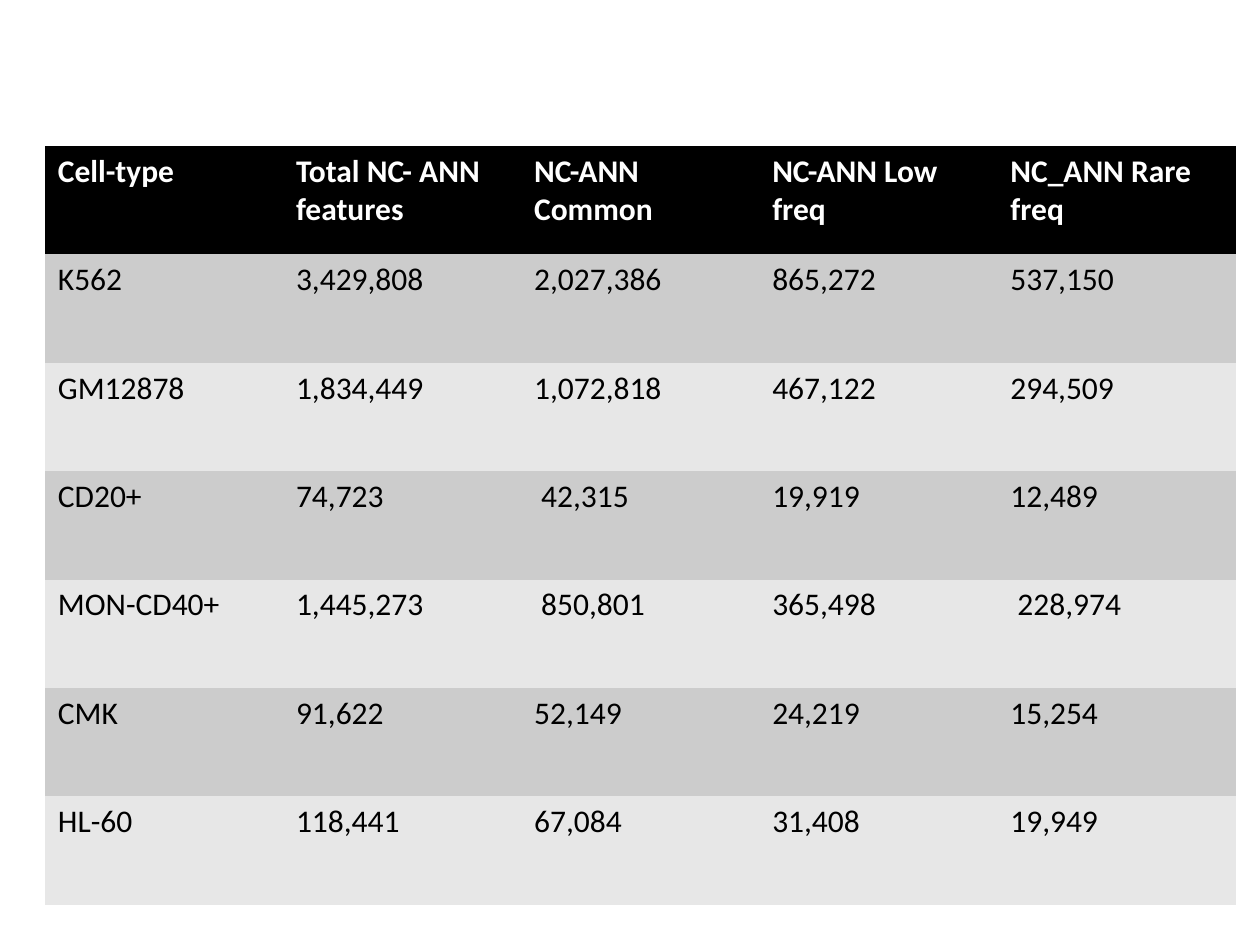
from pptx import Presentation
from pptx.dml.color import RGBColor
from pptx.oxml.ns import qn
from pptx.util import Inches, Pt

BLANK_LAYOUT = 6
NO_GRID_STYLE = "{2D5ABB26-0587-4C30-8999-92F81FD0307C}"
COLUMN_WIDTH = 1.89
ROW_HEIGHT = 0.86
HEADER_FILL = "000000"
BAND_FILLS = ("CCCCCC", "E7E7E7")
HEADER_FONT = {"name": "Calibri", "size": Pt(18), "bold": True}
BODY_FONT = {**HEADER_FONT, "bold": False}

HEADINGS = ("Cell-type", "Total NC- ANN features", "NC-ANN Common",
            "NC-ANN Low freq", "NC_ANN Rare freq")
CELL_TYPES = (
    ("K562", "3,429,808", "2,027,386", "865,272", "537,150"),
    ("GM12878", "1,834,449", "1,072,818", "467,122", "294,509"),
    ("CD20+", "74,723", " 42,315", "19,919", "12,489"),
    ("MON-CD40+", "1,445,273", " 850,801", "365,498", " 228,974"),
    ("CMK", "91,622", "52,149", "24,219", "15,254"),
    ("HL-60", "118,441", "67,084", "31,408", "19,949"),
)


def color(value):
    return RGBColor.from_string(value)


def fill_cell(cell, text, background, text_color, font_format):
    cell.fill.solid()
    cell.fill.fore_color.rgb = color(background)
    span = cell.text_frame.paragraphs[0].add_run()
    span.text = text
    for name, value in font_format.items():
        setattr(span.font, name, value)
    span.font.color.rgb = color(text_color)


def fill_row(row, texts, background, text_color, font_format):
    row.height = Inches(ROW_HEIGHT)
    for cell, text in zip(row.cells, texts):
        fill_cell(cell, text, background, text_color, font_format)


def add_feature_table(page):
    row_count, column_count = len(CELL_TYPES) + 1, len(HEADINGS)
    table = page.shapes.add_table(
        row_count, column_count, Inches(0.36), Inches(1.16),
        Inches(COLUMN_WIDTH * column_count), Inches(ROW_HEIGHT * row_count),
    ).table
    table._tbl.tblPr.find(qn("a:tableStyleId")).text = NO_GRID_STYLE
    for column in table.columns:
        column.width = Inches(COLUMN_WIDTH)
    fill_row(table.rows[0], HEADINGS, HEADER_FILL, "FFFFFF", HEADER_FONT)
    for index, texts in enumerate(CELL_TYPES):
        background = BAND_FILLS[index % len(BAND_FILLS)]
        fill_row(table.rows[index + 1], texts, background, "000000", BODY_FONT)


def main():
    deck = Presentation()
    deck.slide_width = Inches(10)
    deck.slide_height = Inches(7.5)
    page = deck.slides.add_slide(deck.slide_layouts[BLANK_LAYOUT])
    add_feature_table(page)
    deck.save("out.pptx")


if __name__ == "__main__":
    main()
